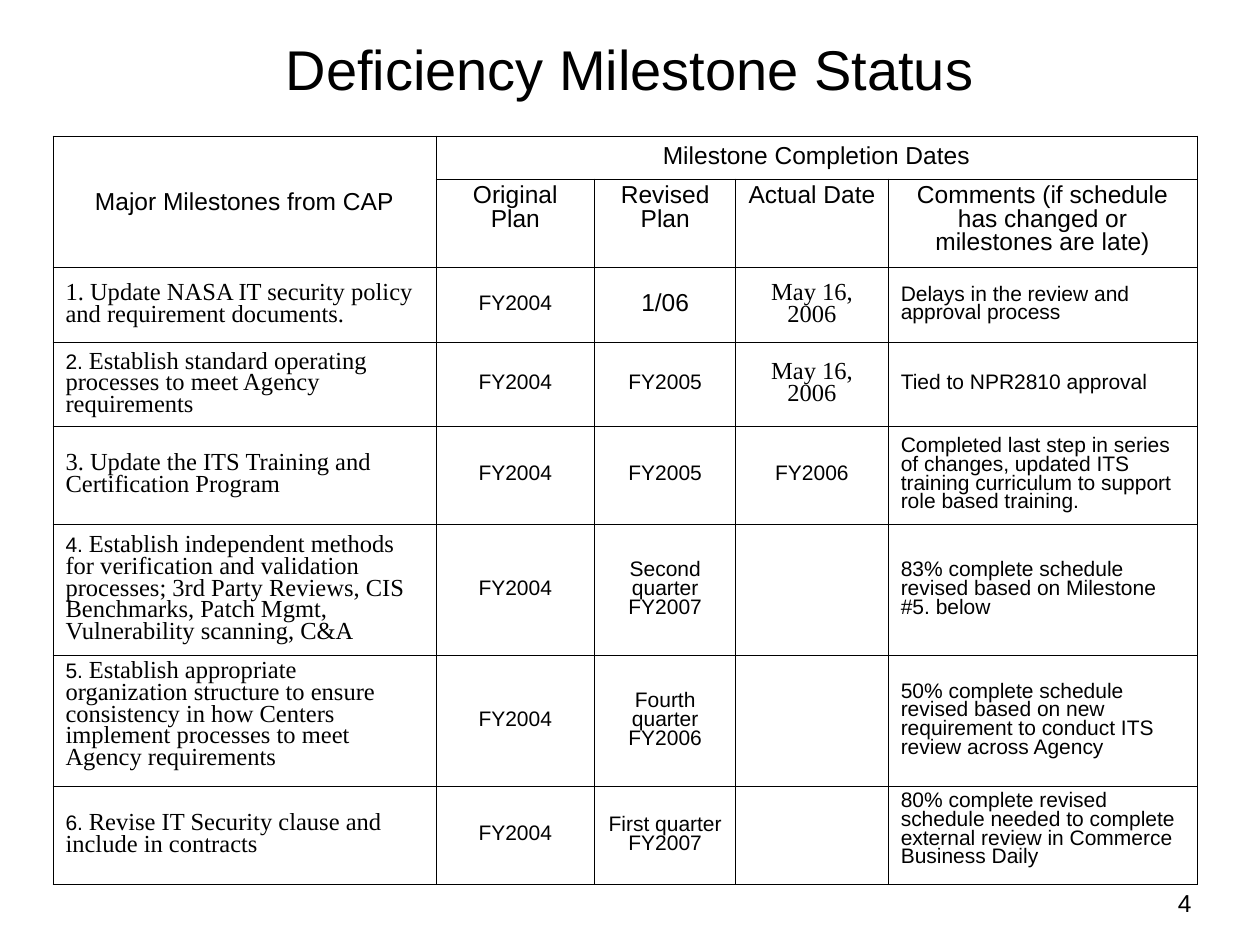
from lxml.etree import SubElement
from pptx import Presentation
from pptx.dml.color import RGBColor
from pptx.enum.text import MSO_ANCHOR, PP_ALIGN
from pptx.oxml import parse_xml
from pptx.oxml.ns import nsdecls, qn
from pptx.util import Inches, Pt

# Content: a cell is a list of (text, style) runs
TITLE = "Deficiency Milestone Status"
PAGE = "4"
HEAD_LEFT = "Major Milestones from CAP"
HEAD_GROUP = "Milestone Completion Dates"
HEADS = ["Original Plan", "Revised Plan", "Actual Date",
         "Comments (if schedule has changed or milestones are late)"]
MAY = [("May 16, 2006", "serif")]


def body(text):
    return [(text, "body")]


def milestone(text, number=""):
    return ([(number, "body")] if number else []) + [(text, "serif")]


ROWS = [
    [milestone("1. Update NASA IT security policy and requirement documents."),
     body("FY2004"), [("1/06", "head")], MAY,
     body("Delays in the review and approval process")],
    [milestone("Establish standard operating processes to meet Agency requirements", "2. "),
     body("FY2004"), body("FY2005"), MAY, body("Tied to NPR2810 approval")],
    [milestone("3. Update the ITS Training and Certification Program"),
     body("FY2004"), body("FY2005"), body("FY2006"),
     body("Completed last step in series of changes, updated ITS training "
          "curriculum to support role based training.")],
    [milestone("Establish independent methods for verification and validation "
               "processes; 3rd Party Reviews, CIS Benchmarks, Patch Mgmt, "
               "Vulnerability scanning, C&A", "4. "),
     body("FY2004"), body("Second quarter FY2007"), [],
     body("83% complete schedule revised based on Milestone #5. below")],
    [milestone("Establish appropriate organization structure to ensure consistency "
               "in how Centers implement processes to meet Agency requirements", "5. "),
     body("FY2004"), body("Fourth quarter FY2006"), [],
     body("50% complete schedule revised based on new requirement to conduct "
          "ITS review across Agency")],
    [milestone("Revise IT Security clause and include in contracts", "6. "),
     body("FY2004"), body("First quarter FY2007"), [],
     body("80% complete revised schedule needed to complete external review in "
          "Commerce Business Daily")],
]
TOP_CELLS = {(6, 0), (7, 4)}  # full cells anchored to the top

# Format
COLORS = {"text": "000000", "border": "000000"}
STYLES = {
    "title": {"size": Pt(32), "name": "Arial"},
    "head": {"size": Pt(14), "name": "Arial"},
    "body": {"size": Pt(12), "name": "Arial"},
    "serif": {"size": Pt(14), "name": "Times New Roman"},
}
COLS = [3.04, 1.26, 1.12, 1.21, 2.45]
HEIGHTS = [0.34, 0.7, 0.6, 0.66, 0.78, 1.04, 1.04, 0.78]
LEFT, TOP = 0.42, 1.08


def write(tf, runs, align=PP_ALIGN.CENTER, spacing=1.0):
    p = tf.paragraphs[0]
    p.alignment, p.line_spacing = align, spacing
    for text, style in runs:
        r = p.add_run()
        r.text = text
        for key, value in STYLES[style].items():
            setattr(r.font, key, value)
        r.font.color.rgb = RGBColor.from_string(COLORS["text"])


def add_text(s, box, text, style, align, anchor):
    tf = s.shapes.add_textbox(*map(Inches, box)).text_frame
    tf.word_wrap, tf.vertical_anchor = True, anchor
    write(tf, [(text, style)], align)


def set_borders(cell):
    cell.fill.background()
    tcPr = cell._tc.get_or_add_tcPr()
    for i, side in enumerate(("lnL", "lnR", "lnT", "lnB")):
        ln = parse_xml(f'<a:{side} {nsdecls("a")} w="{Pt(0.45)}"/>')
        fill = SubElement(ln, qn("a:solidFill"))
        SubElement(fill, qn("a:srgbClr")).set("val", COLORS["border"])
        tcPr.insert(i, ln)


def add_milestones(s):
    frame = s.shapes.add_table(len(HEIGHTS), len(COLS), Inches(LEFT), Inches(TOP),
                               Inches(sum(COLS)), Inches(sum(HEIGHTS)))
    table = frame.table
    table.first_row = table.horz_banding = False
    for col, width in zip(table.columns, COLS):
        col.width = Inches(width)
    for row, height in zip(table.rows, HEIGHTS):
        row.height = Inches(height)
    for cell in table.iter_cells():
        set_borders(cell)

    # Two-level header
    table.cell(0, 0).merge(table.cell(1, 0))
    table.cell(0, 1).merge(table.cell(0, len(COLS) - 1))
    table.cell(0, 0).vertical_anchor = MSO_ANCHOR.MIDDLE
    write(table.cell(0, 0).text_frame, [(HEAD_LEFT, "head")])
    write(table.cell(0, 1).text_frame, [(HEAD_GROUP, "head")])
    for c, text in enumerate(HEADS, 1):
        write(table.cell(1, c).text_frame, [(text, "head")], spacing=0.85)

    # Milestone rows: outer columns left, dates centred
    for r, row in enumerate(ROWS, 2):
        for c, runs in enumerate(row):
            cell = table.cell(r, c)
            cell.vertical_anchor = (MSO_ANCHOR.TOP if (r, c) in TOP_CELLS
                                    else MSO_ANCHOR.MIDDLE)
            outer = c in (0, len(COLS) - 1)
            write(cell.text_frame, runs,
                  PP_ALIGN.LEFT if outer else PP_ALIGN.CENTER, 0.8)


def main():
    prs = Presentation()
    prs.slide_width, prs.slide_height = Inches(10), Inches(7.5)
    s = prs.slides.add_slide(prs.slide_layouts[6])
    add_text(s, (0.5, 0, 9, 1.08), TITLE, "title", PP_ALIGN.CENTER, MSO_ANCHOR.MIDDLE)
    add_milestones(s)
    add_text(s, (9.25, 7, 0.42, 0.34), PAGE, "head", PP_ALIGN.LEFT, MSO_ANCHOR.TOP)
    prs.save("out.pptx")


if __name__ == "__main__":
    main()
